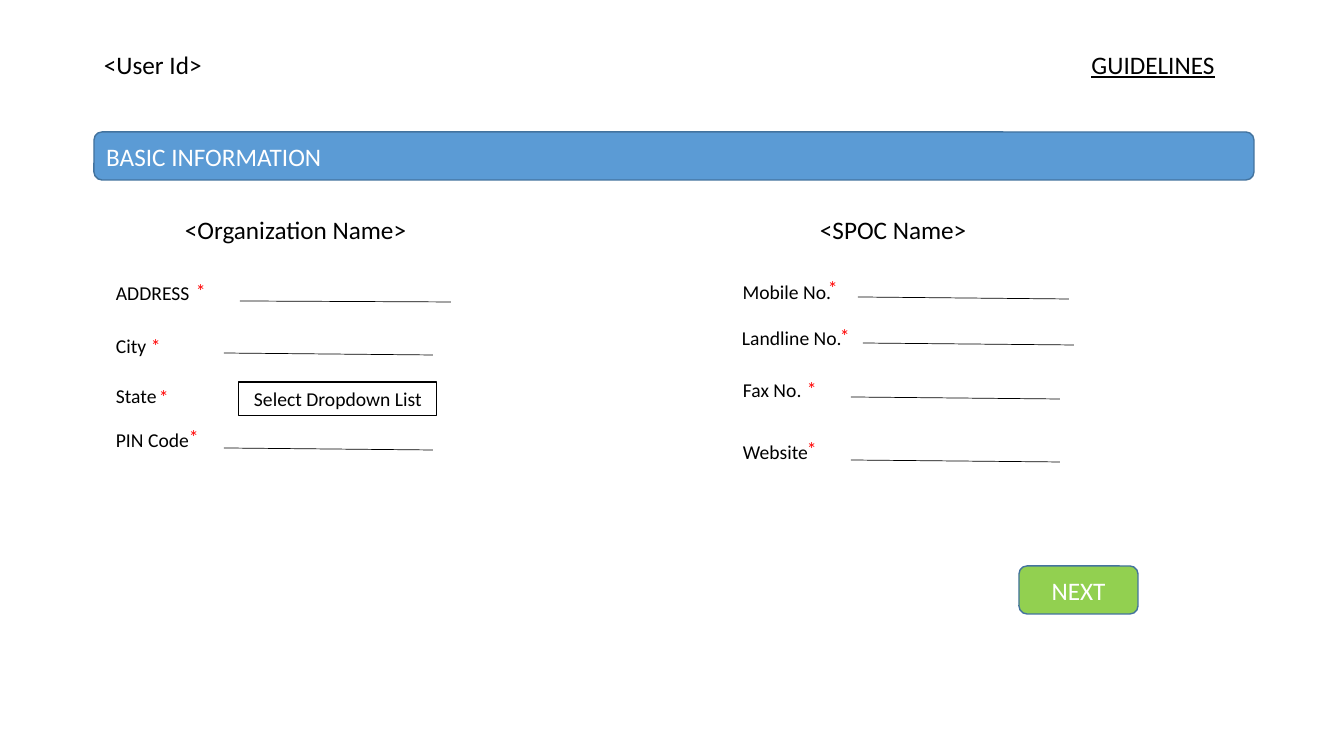
from dataclasses import dataclass

from lxml.etree import SubElement
from pptx import Presentation
from pptx.dml.color import RGBColor
from pptx.enum.shapes import MSO_CONNECTOR as Connector, MSO_SHAPE as Shape
from pptx.enum.text import MSO_ANCHOR as Anchor, PP_ALIGN as Align
from pptx.oxml.ns import qn
from pptx.util import Pt

EMU_PER_PIXEL = 914400 / 100.8
FONT = "Calibri"
BLACK, WHITE, RED = "000000", "FFFFFF", "FF0000"
BLUE, GREEN, OUTLINE = "5B9BD5", "92D050", "43739E"
LABEL_WIDTH, LABEL_HEIGHT, HEADING_HEIGHT = 302, 34, 40
STAR_WIDTH = 66


@dataclass
class Field:
    """A form field: top is from the column, other places are from the field."""
    label: str
    top: int
    star: tuple
    line: tuple = None
    dropdown: str = None
    label_shift: int = 0
    align: Align = Align.LEFT


def px(pixels):
    """Turn pixels into EMU."""
    return round(pixels * EMU_PER_PIXEL)


def color(value):
    """Turn a hex string into a colour."""
    return RGBColor.from_string(value)


def write(shape, text, size, font_color, align=Align.LEFT, anchor=Anchor.TOP):
    """Put one formatted paragraph in a shape."""
    frame = shape.text_frame
    frame.word_wrap = True
    frame.vertical_anchor = anchor
    paragraph = frame.paragraphs[0]
    paragraph.text = text
    paragraph.alignment = align
    font = paragraph.font
    font.name, font.size = FONT, Pt(size)
    font.color.rgb = color(font_color)
    return paragraph


def add_text(slide, box, text, size=14, font_color=BLACK, align=Align.LEFT):
    """Add a text box and return its paragraph."""
    shape = slide.shapes.add_textbox(*map(px, box))
    return write(shape, text, size, font_color, align)


def add_panel(slide, kind, box, fill=None, line=BLACK, width=1):
    """Add an outlined shape, filled when a colour is given."""
    shape = slide.shapes.add_shape(kind, *map(px, box))
    shape.shadow.inherit = False
    if fill:
        shape.fill.solid()
        shape.fill.fore_color.rgb = color(fill)
    else:
        shape.fill.background()
    shape.line.color.rgb = color(line)
    shape.line.width = Pt(width)
    return shape


def add_entry_line(slide, left, top, width, drop):
    """Add the thin, slightly falling line to be filled in."""
    ends = left, top, left + width, top + drop
    line = slide.shapes.add_connector(Connector.STRAIGHT, *map(px, ends))
    line.line.color.rgb = color(BLACK)
    line.line.width = Pt(0.5)
    SubElement(line._element.spPr, qn("a:effectLst"))


def add_header(slide, box):
    """Add the user id on the left and the guidelines link on the right."""
    left, top, width, height = box
    add_text(slide, (left, top, 316, height), "<User Id>", 18)
    link_box = (left + width - LABEL_WIDTH, top, LABEL_WIDTH, height)
    link = add_text(slide, link_box, "GUIDELINES", 18, align=Align.CENTER)
    link.font.underline = True


def add_button(slide, box, text, fill, align):
    """Add a rounded bar or button with white text."""
    shape = add_panel(slide, Shape.ROUNDED_RECTANGLE, box, fill, OUTLINE)
    write(shape, text, 18, WHITE, align, Anchor.MIDDLE)


def add_field(slide, left, top, field):
    """Add a label, its required mark and its entry line or dropdown."""
    label_box = (left + field.label_shift, top, LABEL_WIDTH, LABEL_HEIGHT)
    add_text(slide, label_box, field.label, align=field.align)
    if field.line:
        shift, depth, width, drop = field.line
        add_entry_line(slide, left + shift, top + depth, width, drop)
    if field.dropdown:
        dropdown_box = (left + 133, top + 3, 198, LABEL_HEIGHT)
        shape = add_panel(slide, Shape.RECTANGLE, dropdown_box, width=0.75)
        write(shape, field.dropdown, 14, BLACK, Align.CENTER)
    star_left, star_top = field.star
    star_box = (left + star_left, top + star_top, STAR_WIDTH, LABEL_HEIGHT)
    add_text(slide, star_box, "*", font_color=RED)


def add_form_column(slide, origin, heading, heading_shift, fields):
    """Add a heading with its fields below."""
    left, top = origin
    heading_box = (left + heading_shift, top, LABEL_WIDTH, HEADING_HEIGHT)
    add_text(slide, heading_box, heading, 18)
    for field in fields:
        add_field(slide, left, top + field.top, field)


ORGANIZATION_FIELDS = [
    Field("ADDRESS", 67, (80, -2), (134, 25, 211, 1)),
    Field("City", 120, (35, 0), (118, 24, 209, 2)),
    Field("State", 170, (43, 1), dropdown="Select Dropdown List"),
    Field("PIN Code", 214, (73, -3), (118, 25, 209, 2)),
]
CONTACT_FIELDS = [
    Field("Mobile No.", 66, (85, -4), (125, 22, 211, 2),
          label_shift=-97, align=Align.CENTER),
    Field("Landline No.", 112, (97, -2), (130, 22, 211, 2),
          label_shift=-92, align=Align.CENTER),
    Field("Fax No.", 164, (64, -1), (118, 24, 209, 2)),
    Field("Website", 226, (64, -3), (118, 25, 209, 2)),
]


def build_slide(presentation):
    """Add the basic information form."""
    slide = presentation.slides.add_slide(presentation.slide_layouts[6])
    add_header(slide, (94, 44, 1210, HEADING_HEIGHT))
    add_button(slide, (94, 132, 1160, 48), "BASIC INFORMATION", BLUE, Align.LEFT)
    add_form_column(slide, (106, 209), "<Organization Name>", 69,
                    ORGANIZATION_FIELDS)
    add_form_column(slide, (733, 209), "<SPOC Name>", 77, CONTACT_FIELDS)
    add_button(slide, (1019, 566, 119, 48), "NEXT", GREEN, Align.CENTER)


presentation = Presentation()
presentation.slide_width, presentation.slide_height = px(1344), px(756)
build_slide(presentation)
presentation.save("out.pptx")
